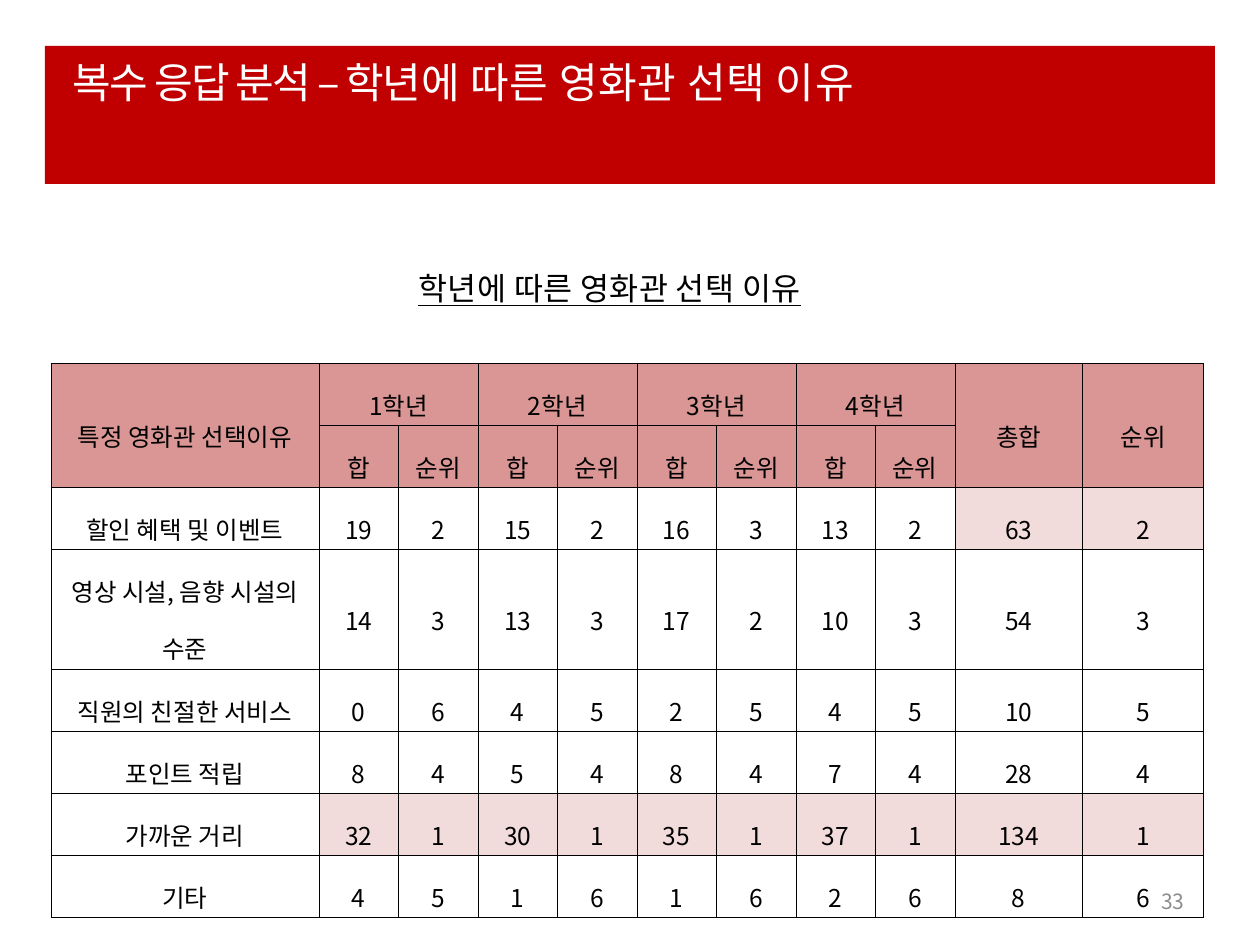
from pptx import Presentation
from pptx.dml.color import RGBColor
from pptx.enum.shapes import MSO_SHAPE
from pptx.enum.text import MSO_ANCHOR, MSO_AUTO_SIZE, PP_ALIGN
from pptx.oxml import parse_xml
from pptx.oxml.ns import nsdecls
from pptx.util import Emu, Pt

RECTANGLE = MSO_SHAPE.RECTANGLE
TOP, MIDDLE = MSO_ANCHOR.TOP, MSO_ANCHOR.MIDDLE
LEFT, CENTER, RIGHT = PP_ALIGN.LEFT, PP_ALIGN.CENTER, PP_ALIGN.RIGHT

PIXELS_PER_INCH = 126
FONT = "Noto Sans CJK KR"
RED = RGBColor(0xC0, 0x00, 0x00)
ROSE = RGBColor(0xD9, 0x96, 0x94)
PINK = RGBColor(0xF2, 0xDC, 0xDB)
WHITE = RGBColor(0xFF, 0xFF, 0xFF)
BLACK = RGBColor(0x00, 0x00, 0x00)
GRAY = RGBColor(0x8C, 0x8C, 0x8C)

GRADES = ["1학년", "2학년", "3학년", "4학년"]
HEADER_ROWS = 2
TOTAL_COLUMN = 1 + 2 * len(GRADES)
ROW_HEIGHT, TWO_LINE_HEIGHT = 62, 120
TWO_LINE_ROW = 3
# Each reason holds count and rank pairs: one per grade, then the total.
REASONS = [
    ("할인 혜택 및 이벤트", [19, 2, 15, 2, 16, 3, 13, 2, 63, 2]),
    ("영상 시설, 음향 시설의 수준", [14, 3, 13, 3, 17, 2, 10, 3, 54, 3]),
    ("직원의 친절한 서비스", [0, 6, 4, 5, 2, 5, 4, 5, 10, 5]),
    ("포인트 적립", [8, 4, 5, 4, 8, 4, 7, 4, 28, 4]),
    ("가까운 거리", [32, 1, 30, 1, 35, 1, 37, 1, 134, 1]),
    ("기타", [4, 5, 1, 6, 1, 6, 2, 6, 8, 6]),
]


def px(length):
    return Emu(round(length * 914400 / PIXELS_PER_INCH))


def add_run(paragraph, text, size, color, spacing=0):
    """Add a run; spacing between letters is in hundredths of a point."""
    run = paragraph.add_run()
    run.text = text
    run.font.size = Pt(size)
    run.font.name = FONT
    run.font.color.rgb = color
    properties = run.font._element
    properties.append(parse_xml(f'<a:ea {nsdecls("a")} typeface="{FONT}"/>'))
    if spacing:
        properties.set("spc", str(spacing))
    return run


def add_text_box(slide, box, anchor, alignment):
    """Add an empty text box and return its frame and first paragraph."""
    frame = slide.shapes.add_textbox(*map(px, box)).text_frame
    frame.word_wrap = True
    frame.vertical_anchor = anchor
    frame.paragraphs[0].alignment = alignment
    return frame, frame.paragraphs[0]


def add_title_banner(slide, box):
    left, top, width, height = box
    banner = slide.shapes.add_shape(RECTANGLE, *map(px, box))
    banner.shadow.inherit = False
    banner.fill.solid()
    banner.fill.fore_color.rgb = RED
    banner.line.fill.background()

    title = slide.shapes.title
    title.element.addprevious(banner.element)
    title.left, title.top = px(left + 15), px(top + 4)
    title.width, title.height = px(width - 36), px(height)
    frame = title.text_frame
    frame.auto_size = MSO_AUTO_SIZE.NONE
    frame.vertical_anchor = TOP
    paragraph = frame.paragraphs[0]
    paragraph.alignment = LEFT
    add_run(paragraph, "복수 응답 분석 – 학년", 24, WHITE, -100)
    add_run(paragraph, "에 따른 영화관 선택 이유", 24, WHITE, 40)


def add_page_number(slide, box):
    paragraph = add_text_box(slide, box, MIDDLE, RIGHT)[1]
    add_run(paragraph, "33", 12, GRAY)


def add_caption(slide, box):
    frame, paragraph = add_text_box(slide, box, TOP, LEFT)
    frame.auto_size = MSO_AUTO_SIZE.SHAPE_TO_FIT_TEXT
    run = add_run(paragraph, "학년에 따른 영화관 선택 이유", 18, BLACK, 25)
    run.font.underline = True


def format_cell(cell, fill):
    """Set the margins, borders and fill; a fill of None leaves it clear."""
    cell.vertical_anchor = MIDDLE
    cell.margin_left = cell.margin_right = px(9)
    cell.margin_top = cell.margin_bottom = px(2)
    properties = cell._tc.get_or_add_tcPr()
    for side in ("lnL", "lnR", "lnT", "lnB"):
        properties.append(parse_xml(
            f'<a:{side} {nsdecls("a")} w="{Pt(0.28)}"><a:solidFill>'
            f'<a:srgbClr val="{BLACK}"/></a:solidFill></a:{side}>'))
    if fill is None:
        cell.fill.background()
    else:
        cell.fill.solid()
        cell.fill.fore_color.rgb = fill


def write_cell(cell, text):
    paragraph = cell.text_frame.paragraphs[0]
    paragraph.alignment = CENTER
    paragraph.line_spacing = 1.6
    add_run(paragraph, str(text), 14, BLACK)


def body_fill(column, values):
    """Mark the first rank of each grade and the top two totals."""
    if column == 0:
        return None
    rank = values[(column - 1) // 2 * 2 + 1]
    highest_marked = 2 if column >= TOTAL_COLUMN else 1
    return PINK if rank <= highest_marked else None


def write_header(table):
    for column, text in ((0, "특정 영화관 선택이유"), (TOTAL_COLUMN, "총합"),
                         (TOTAL_COLUMN + 1, "순위")):
        table.cell(0, column).merge(table.cell(1, column))
        write_cell(table.cell(0, column), text)
    for index, grade in enumerate(GRADES):
        column = 1 + 2 * index
        table.cell(0, column).merge(table.cell(0, column + 1))
        write_cell(table.cell(0, column), grade)
        write_cell(table.cell(1, column), "합")
        write_cell(table.cell(1, column + 1), "순위")


def add_reason_table(slide, box):
    row_count = HEADER_ROWS + len(REASONS)
    column_count = TOTAL_COLUMN + 2
    table_frame = slide.shapes.add_table(row_count, column_count, *map(px, box))
    table = table_frame.table
    table.first_row = table.horz_banding = False

    grade_width = px(159) // 2
    widths = [px(268)] + [grade_width] * (2 * len(GRADES)) + [px(128), px(121)]
    for column, width in zip(table.columns, widths):
        column.width = width
    for index, row in enumerate(table.rows):
        row.height = px(TWO_LINE_HEIGHT if index == TWO_LINE_ROW else ROW_HEIGHT)

    for row in range(HEADER_ROWS):
        for column in range(column_count):
            format_cell(table.cell(row, column), ROSE)
    write_header(table)
    for row, (reason, values) in enumerate(REASONS, HEADER_ROWS):
        for column, text in enumerate([reason, *values]):
            cell = table.cell(row, column)
            format_cell(cell, body_fill(column, values))
            write_cell(cell, text)


def main():
    presentation = Presentation()
    presentation.slide_width, presentation.slide_height = px(1260), px(945)
    slide = presentation.slides.add_slide(presentation.slide_layouts[5])
    add_title_banner(slide, (45, 46, 1170, 138))
    add_page_number(slide, (903, 876, 294, 50))
    add_reason_table(slide, (51, 363, 1153, 554))
    add_caption(slide, (406, 263, 448, 51))
    presentation.save("out.pptx")


if __name__ == "__main__":
    main()
